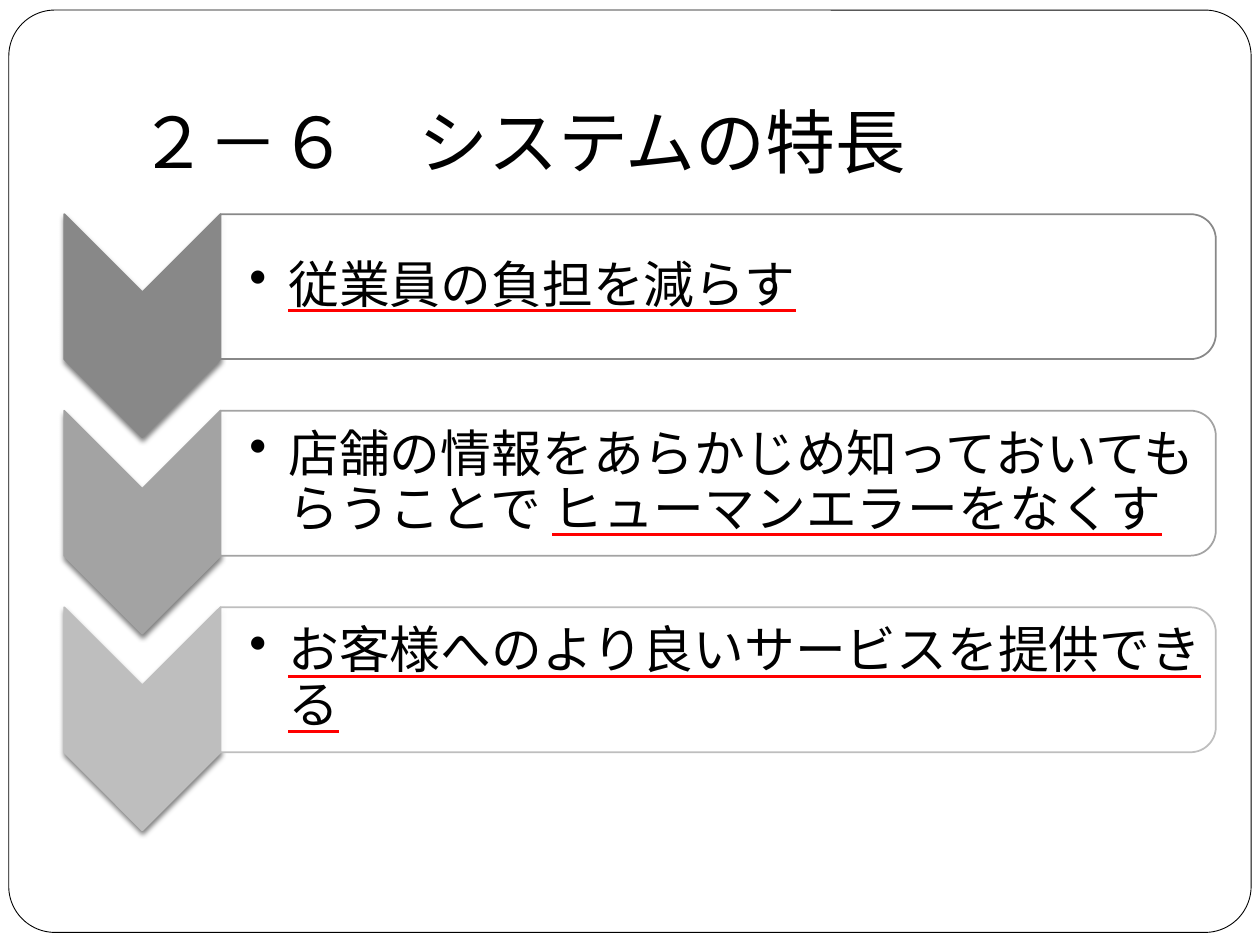
import math

from lxml import etree
from pptx import Presentation
from pptx.dml.color import RGBColor
from pptx.enum.shapes import MSO_SHAPE
from pptx.enum.text import MSO_ANCHOR, MSO_AUTO_SIZE, PP_ALIGN
from pptx.oxml.ns import qn
from pptx.util import Inches, Pt

ROUNDED = MSO_SHAPE.ROUNDED_RECTANGLE
MIDDLE, BOTTOM = MSO_ANCHOR.MIDDLE, MSO_ANCHOR.BOTTOM
LEFT = PP_ALIGN.LEFT
NO_AUTOFIT = MSO_AUTO_SIZE.NONE

COLORS = {"ink": "000000", "paper": "FFFFFF", "underline": "FF0000"}
TITLE_FONT, BODY_FONT = "Roboto", "Times New Roman"

# Row grid, in inches
ROW_TOP, ROW_PITCH, ROW_HEIGHT = 1.7, 1.56, 1.15
CHEVRON_LEFT, CHEVRON_RIGHT, CHEVRON_DIP = 0.51, 1.75, 0.62
BOX_RIGHT, CORNER = 9.65, 0.2

# Each row: colour and (text, underlined) runs
ROWS = [
    ("888888", [("従業員の負担を減らす", True)]),
    ("A3A3A3", [("店舗の情報をあらかじめ知っておいてもらうことで ", False),
                ("ヒューマンエラーをなくす", True)]),
    ("BEBEBE", [("お客様へのより良いサービスを提供できる", True)]),
]


def rgb(color):
    return RGBColor.from_string(color)


def add_child(parent, tag, **attributes):
    return etree.SubElement(parent, qn(tag), attributes)


def paint(shape, fill, line, width):
    shape.shadow.inherit = False
    shape.fill.solid()
    shape.fill.fore_color.rgb = rgb(fill)
    shape.line.color.rgb = rgb(line)
    shape.line.width = Pt(width)


def set_margins(frame, left, top, right, bottom):
    frame.margin_left, frame.margin_top = Inches(left), Inches(top)
    frame.margin_right, frame.margin_bottom = Inches(right), Inches(bottom)


def set_font(para, name, size):
    para.font.name = name
    para.font.size = Pt(size)
    para.font.color.rgb = rgb(COLORS["ink"])


def add_polygon(slide, points):
    """Closed outline through points given in inches."""
    corners = [(Inches(x), Inches(y)) for x, y in points]
    builder = slide.shapes.build_freeform(*corners[0])
    builder.add_line_segments(corners[1:], close=True)
    return builder.convert_to_shape()


def add_title(slide, text):
    title = slide.shapes.title
    title.left, title.top = Inches(1), Inches(0.3)
    title.width, title.height = Inches(8.5), Inches(1.25)
    frame = title.text_frame
    frame.text = text
    frame.auto_size = NO_AUTOFIT
    frame.vertical_anchor = BOTTOM
    set_margins(frame, 0.1, 0.05, 0.1, 0.1)
    para = frame.paragraphs[0]
    para.alignment = LEFT
    set_font(para, TITLE_FONT, 40)


def add_border(slide):
    """Rounded page border, placed behind the title."""
    border = slide.shapes.add_shape(
        ROUNDED, Inches(0.07), Inches(0.08), Inches(9.86), Inches(7.32))
    border.adjustments[0] = 0.05
    paint(border, COLORS["paper"], COLORS["ink"], 0.5)
    slide.shapes.title.element.addprevious(border.element)


def add_shadow(shape):
    effects = shape.element.spPr.find(qn("a:effectLst"))
    shadow = add_child(effects, "a:outerShdw", blurRad=str(Pt(3)),
                       dist=str(Pt(2)), dir="5400000", rotWithShape="0")
    color = add_child(shadow, "a:srgbClr", val=COLORS["ink"])
    add_child(color, "a:alpha", val="50000")


def add_chevron(slide, top, color):
    middle = (CHEVRON_LEFT + CHEVRON_RIGHT) / 2
    bottom = top + ROW_HEIGHT
    chevron = add_polygon(slide, [
        (CHEVRON_RIGHT, top), (CHEVRON_RIGHT, bottom),
        (middle, bottom + CHEVRON_DIP), (CHEVRON_LEFT, bottom),
        (CHEVRON_LEFT, top), (middle, top + CHEVRON_DIP)])
    paint(chevron, color, color, 1)
    add_shadow(chevron)


def corner_arc(center_x, center_y, start):
    """Points of a quarter circle that begins at start degrees."""
    angles = [math.radians(start + step) for step in range(0, 91, 6)]
    return [(center_x + CORNER * math.cos(angle),
             center_y + CORNER * math.sin(angle)) for angle in angles]


def add_bullet(para):
    properties = para._p.get_or_add_pPr()
    properties.set("marL", str(Inches(0.31)))
    properties.set("indent", str(Inches(-0.31)))
    add_child(properties, "a:buChar", char="•")


def underline(span):
    span.font.underline = True
    fill = add_child(span._r.get_or_add_rPr(), "a:uFill")
    add_child(add_child(fill, "a:solidFill"), "a:srgbClr",
              val=COLORS["underline"])


def add_text_box(slide, top, color, runs):
    bottom = top + ROW_HEIGHT
    center_x = BOX_RIGHT - CORNER
    box = add_polygon(slide, [
        (CHEVRON_RIGHT, top),
        *corner_arc(center_x, top + CORNER, -90),
        *corner_arc(center_x, bottom - CORNER, 0),
        (CHEVRON_RIGHT, bottom)])
    paint(box, COLORS["paper"], color, 1)
    fill_color = box.element.spPr.find(qn("a:solidFill"))[0]
    add_child(fill_color, "a:alpha", val="90000")

    frame = box.text_frame
    frame.word_wrap = True
    frame.vertical_anchor = MIDDLE
    set_margins(frame, 0.23, 0.08, 0.08, 0.08)
    para = frame.paragraphs[0]
    para.alignment = LEFT
    para.line_spacing = 0.9
    para.space_after = Pt(4.35)
    add_bullet(para)
    set_font(para, BODY_FONT, 29)
    for text, underlined in runs:
        span = para.add_run()
        span.text = text
        if underlined:
            underline(span)


def main():
    deck = Presentation()
    deck.slide_width, deck.slide_height = Inches(10), Inches(7.5)
    slide = deck.slides.add_slide(deck.slide_layouts[5])
    add_title(slide, "２－６　システムの特長")
    add_border(slide)
    for index, (color, runs) in enumerate(ROWS):
        top = ROW_TOP + index * ROW_PITCH
        add_chevron(slide, top, color)
        add_text_box(slide, top, color, runs)
    deck.save("out.pptx")


if __name__ == "__main__":
    main()
